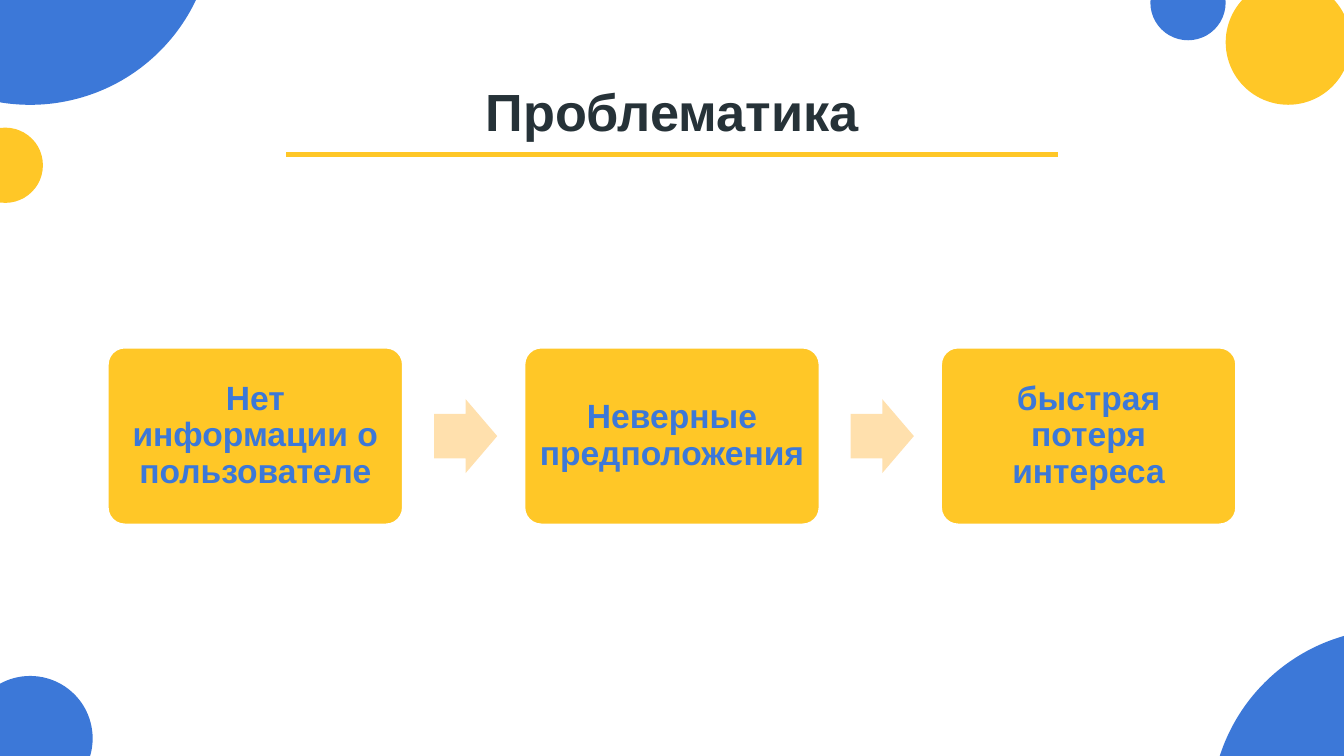
from dataclasses import dataclass

from lxml import etree
from pptx import Presentation
from pptx.dml.color import RGBColor
from pptx.enum.shapes import MSO_CONNECTOR, MSO_SHAPE
from pptx.enum.text import MSO_ANCHOR, MSO_AUTO_SIZE, PP_ALIGN
from pptx.oxml.ns import qn
from pptx.shapes.autoshape import Shape
from pptx.slide import Slide
from pptx.text.text import TextFrame
from pptx.util import Inches, Pt

OVAL = MSO_SHAPE.OVAL
ROUND = MSO_SHAPE.ROUNDED_RECTANGLE
ARROW = MSO_SHAPE.RIGHT_ARROW
STRAIGHT = MSO_CONNECTOR.STRAIGHT
TOP = MSO_ANCHOR.TOP
MIDDLE = MSO_ANCHOR.MIDDLE
FIXED = MSO_AUTO_SIZE.NONE
CENTER = PP_ALIGN.CENTER


@dataclass(frozen=True)
class Theme:
    font: str = "Arial"
    blue: str = "3C78D8"
    gold: str = "FFC727"
    pale: str = "FFE0AD"
    dark: str = "263238"
    white: str = "FFFFFF"
    title: float = 28
    body: float = 18
    rule: float = 2.25
    edge: float = 2


@dataclass(frozen=True)
class Disc:
    left: float
    top: float
    size: float
    color: str


@dataclass(frozen=True)
class Box:
    left: float
    top: float
    width: float
    height: float


THEME = Theme()
DISCS = (
    Disc(9.01, 4.68, 2.73, THEME.blue),
    Disc(-0.24, 5.03, 0.93, THEME.blue),
    Disc(-1.14, -1.95, 2.73, THEME.blue),
    Disc(-0.24, 0.95, 0.56, THEME.gold),
    Disc(8.56, -0.26, 0.56, THEME.blue),
    Disc(9.12, -0.15, 0.93, THEME.gold),
)
STEPS = (
    "Нет информации о пользователе",
    "Неверные предположения",
    "быстрая потеря интереса",
)
WIDTH = 10
PITCH = 3.1
CARD = 2.21
FIRST = Box((WIDTH - CARD) / 2 - PITCH, 2.58, CARD, 1.33)
HEAD = Box(3.23, 2.97, 0.47, 0.55)


def add_shape(slide: Slide, kind: int, box: Box, color: str) -> Shape:
    shape = slide.shapes.add_shape(
        kind, Inches(box.left), Inches(box.top), Inches(box.width), Inches(box.height)
    )
    shape.shadow.inherit = False
    shape.fill.solid()
    shape.fill.fore_color.rgb = RGBColor.from_string(color)
    shape.line.fill.background()
    return shape


def set_text(frame: TextFrame, text: str, size: float, color: str, inset: float) -> None:
    frame.text = text
    frame.word_wrap = True
    frame.auto_size = FIXED
    frame.margin_left = frame.margin_right = Inches(inset)
    frame.margin_top = frame.margin_bottom = Inches(inset)
    line = frame.paragraphs[0]
    line.alignment = CENTER
    font = line.runs[0].font
    font.name = THEME.font
    font.size = Pt(size)
    font.bold = True
    font.color.rgb = RGBColor.from_string(color)


def add_title(slide: Slide, text: str) -> None:
    title = slide.shapes.title
    title.left, title.top = Inches(0.79), Inches(0.49)
    title.width, title.height = Inches(8.42), Inches(0.63)
    set_text(title.text_frame, text, THEME.title, THEME.dark, 0.1)
    title.text_frame.vertical_anchor = TOP


def add_step(slide: Slide, text: str, left: float) -> None:
    box = Box(left, FIRST.top, FIRST.width, FIRST.height)
    card = add_shape(slide, ROUND, box, THEME.gold)
    card.adjustments[0] = 0.1
    card.line.color.rgb = RGBColor.from_string(THEME.white)
    card.line.width = Pt(THEME.edge)
    set_text(card.text_frame, text, THEME.body, THEME.blue, 0.08)
    card.text_frame.vertical_anchor = MIDDLE
    card.text_frame.paragraphs[0].line_spacing = 0.9


def add_arrow(slide: Slide, left: float) -> None:
    box = Box(left, HEAD.top, HEAD.width, HEAD.height)
    arrow = add_shape(slide, ARROW, box, THEME.pale)
    arrow.adjustments[0] = 0.6
    arrow.adjustments[1] = 0.5


def add_rule(slide: Slide) -> None:
    rule = slide.shapes.add_connector(
        STRAIGHT, Inches(2.13), Inches(1.15), Inches(7.87), Inches(1.15)
    )
    rule.line.color.rgb = RGBColor.from_string(THEME.gold)
    rule.line.width = Pt(THEME.rule)
    etree.SubElement(rule._element.spPr, qn("a:effectLst"))


def main() -> None:
    deck = Presentation()
    deck.slide_width = Inches(WIDTH)
    deck.slide_height = Inches(WIDTH * 9 / 16)
    slide = deck.slides.add_slide(deck.slide_layouts[5])
    for disc in DISCS:
        add_shape(slide, OVAL, Box(disc.left, disc.top, disc.size, disc.size), disc.color)
    add_title(slide, "Проблематика")
    for index, text in enumerate(STEPS):
        if index:
            add_arrow(slide, HEAD.left + (index - 1) * PITCH)
        add_step(slide, text, FIRST.left + index * PITCH)
    add_rule(slide)
    deck.save("out.pptx")


if __name__ == "__main__":
    main()
